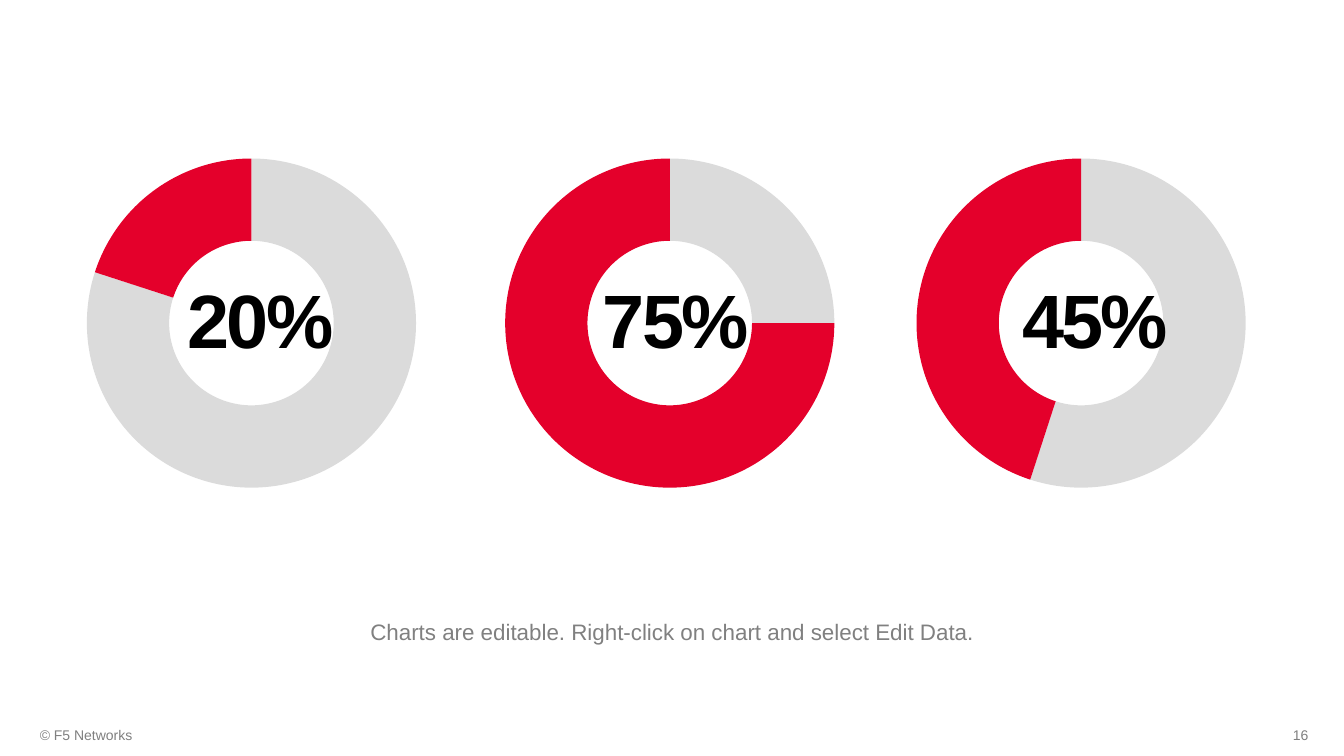
from lxml import etree
from pptx import Presentation
from pptx.chart import data
from pptx.dml import color
from pptx.enum import chart as ch, text
from pptx.oxml import ns, xmlchemy
from pptx.util import Pt

COLORS = {"ink": "000000", "red": "E4002B", "grey": "808080", "chart": "4D4F53"}


class Deck:
    font = "Arial"

    def __init__(self, width, height):
        self.prs = Presentation()
        self.prs.slide_width, self.prs.slide_height = Pt(width), Pt(height)
        self.s = self.prs.slides.add_slide(self.prs.slide_layouts[6])

    def rgb(self, name):
        return color.RGBColor.from_string(COLORS[name])

    def style(self, font, size, name, bold=False):
        font.name, font.size, font.bold = self.font, Pt(size), bold
        font.color.rgb = self.rgb(name)

    def text(self, box, words, size, name="grey", align="LEFT", anchor="MIDDLE",
             inset=12, bold=False, line=None, spacing=None):
        tf = self.s.shapes.add_textbox(*map(Pt, box)).text_frame
        tf.text = words
        tf.word_wrap = True
        tf.vertical_anchor = text.MSO_ANCHOR[anchor]
        tf.margin_left = tf.margin_right = Pt(inset)
        tf.margin_top = tf.margin_bottom = Pt(min(inset, inset / 2 if inset < 12 else inset))
        p = tf.paragraphs[0]
        p.alignment = text.PP_ALIGN[align]
        if line:
            p.line_spacing = line
        r = p.runs[0]
        self.style(r.font, size, name, bold)
        if spacing:
            r.font._element.set("spc", str(spacing * 100))

    def doughnut(self, box, percent):
        cd = data.CategoryChartData()
        cd.categories = ["1", "2"]
        cd.add_series("Series 1", (100 - percent, percent))
        c = self.s.shapes.add_chart(ch.XL_CHART_TYPE.DOUGHNUT, *map(Pt, box), cd).chart
        c.has_legend = c.has_title = False
        self.style(c.font, 10.5, "chart")
        plot = c.plots[0]
        plot.vary_by_categories = False
        plot._element.find(ns.qn("c:holeSize")).set("val", "85")
        for i, name in enumerate(("ink", "red")):
            fmt = plot.series[0].points[i].format
            fmt.fill.solid()
            fmt.fill.fore_color.rgb = self.rgb(name)
            fmt.line.fill.background()
            if name == "ink":
                clr = fmt.fill._xPr.find(".//" + ns.qn("a:srgbClr"))
                etree.SubElement(clr, ns.qn("a:alpha")).set("val", "14000")
        self.place_plot(c, x=0.17, y=0.04, w=0.65, h=0.92)

    def place_plot(self, c, **fractions):
        area = c._chartSpace.chart.plotArea
        for old in area.findall(ns.qn("c:layout")):
            area.remove(old)
        layout = etree.Element(ns.qn("c:layout"))
        manual = etree.SubElement(layout, ns.qn("c:manualLayout"))
        settings = {"layoutTarget": "inner", "xMode": "edge", "yMode": "edge", **fractions}
        for tag, val in settings.items():
            etree.SubElement(manual, ns.qn("c:" + tag)).set("val", str(val))
        area.insert(0, layout)


def main():
    d = Deck(960, 540)
    d.text((16.5, 510.5, 324, 28.8), "© F5 Networks", 10)
    d.text((709, 510.5, 237.6, 28.8), "16", 10, align="RIGHT")
    gauges = ((20, 0, 108), (75, 298.8, 404.6), (45, 592.6, 704.2))
    for percent, chart_left, label_left in gauges:
        d.doughnut((chart_left, 103, 362.9, 255.6), percent)
        d.text((label_left, 198, 156.2, 66.2), f"{percent}%", 54, "ink", "CENTER",
               inset=7.2, bold=True, line=0.9, spacing=-2)
    d.text((249, 432, 462.2, 43.9),
           "Charts are editable. Right-click on chart and select Edit Data.",
           16, align="CENTER", anchor="TOP")
    d.prs.save("out.pptx")


if __name__ == "__main__":
    main()
